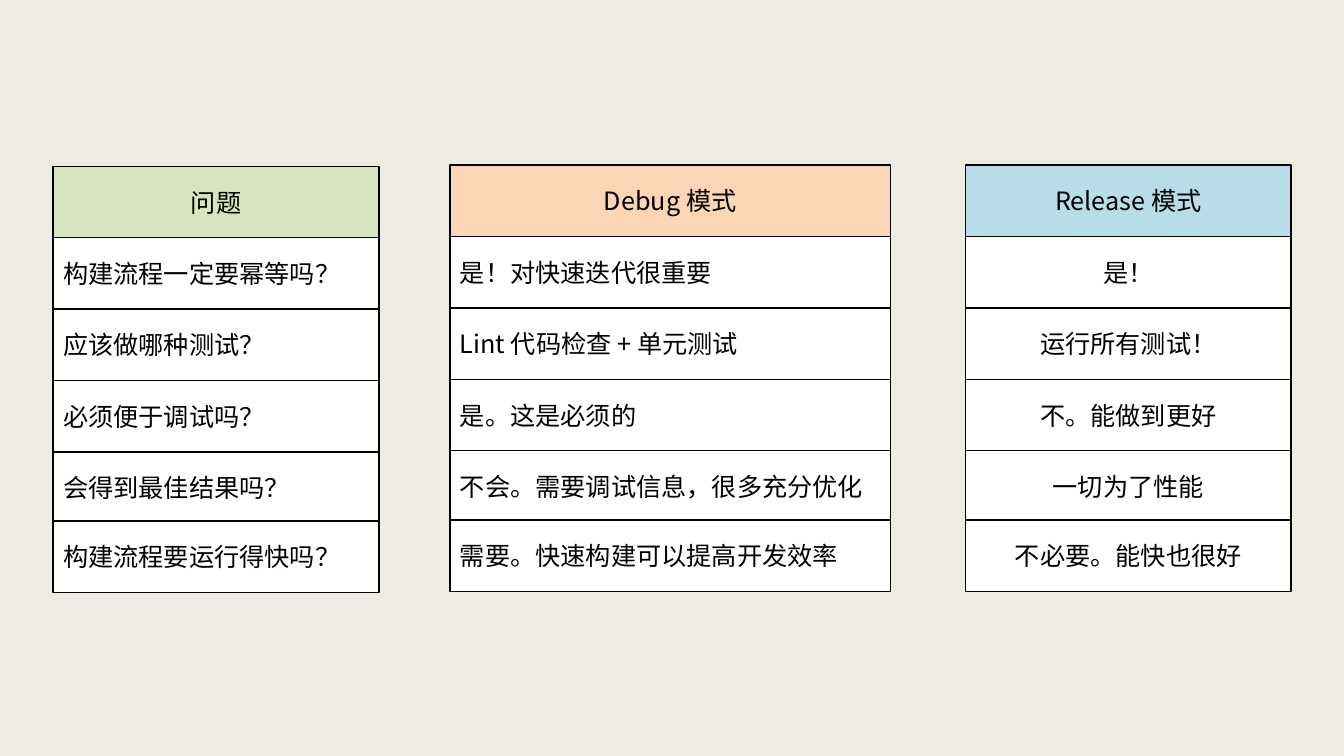
from dataclasses import dataclass

from lxml.etree import SubElement
from pptx import Presentation
from pptx.dml.color import RGBColor
from pptx.enum.shapes import MSO_SHAPE
from pptx.enum.text import MSO_ANCHOR, PP_ALIGN
from pptx.oxml.ns import qn
from pptx.shapes.group import GroupShape
from pptx.slide import Slide
from pptx.util import Cm, Pt

BEIGE = RGBColor(0xEE, 0xEC, 0xE1)
GREEN = RGBColor(0xD7, 0xE4, 0xBD)
ORANGE = RGBColor(0xFC, 0xD5, 0xB5)
BLUE = RGBColor(0xB7, 0xDE, 0xE8)
WHITE = RGBColor(0xFF, 0xFF, 0xFF)
BLACK = RGBColor(0, 0, 0)

FONT = "Noto Sans CJK SC"
FONT_FORMAT = {"name": FONT, "size": Pt(18)}
ROW_HEIGHT = 1.8
LAST_ROW_OVERLAP = 0.06


@dataclass(frozen=True)
class Column:
    heading: str
    answers: tuple[str, ...]
    left: float
    top: float
    width: float
    heading_color: RGBColor
    answer_align: PP_ALIGN


COLUMNS = (
    Column(
        "问题",
        (
            "构建流程一定要幂等吗？",
            "应该做哪种测试？",
            "必须便于调试吗？",
            "会得到最佳结果吗？",
            "构建流程要运行得快吗？",
        ),
        1.34, 4.19, 8.21, GREEN, PP_ALIGN.LEFT,
    ),
    Column(
        "Debug 模式",
        (
            "是！对快速迭代很重要",
            "Lint 代码检查 + 单元测试",
            "是。这是必须的",
            "不会。需要调试信息，很多充分优化",
            "需要。快速构建可以提高开发效率",
        ),
        11.34, 4.16, 11.1, ORANGE, PP_ALIGN.LEFT,
    ),
    Column(
        "Release 模式",
        (
            "是！",
            "运行所有测试！",
            "不。能做到更好",
            "一切为了性能",
            "不必要。能快也很好",
        ),
        24.33, 4.16, 8.21, BLUE, PP_ALIGN.CENTER,
    ),
)


def draw_cell(group: GroupShape, column: Column, top: float, wording: str,
              color: RGBColor, align: PP_ALIGN) -> None:
    cell = group.shapes.add_shape(
        MSO_SHAPE.RECTANGLE, Cm(column.left), Cm(top), Cm(column.width), Cm(ROW_HEIGHT)
    )
    cell.shadow.inherit = False
    cell.fill.solid()
    cell.fill.fore_color.rgb = color
    cell.line.color.rgb = BLACK
    cell.line.width = Pt(1)
    cell.text_frame.word_wrap = True
    cell.text_frame.vertical_anchor = MSO_ANCHOR.MIDDLE
    paragraph = cell.text_frame.paragraphs[0]
    paragraph.alignment = align
    run = paragraph.add_run()
    run.text = wording
    for attribute, setting in FONT_FORMAT.items():
        setattr(run.font, attribute, setting)
    run.font.color.rgb = BLACK
    SubElement(run._r.get_or_add_rPr(), qn("a:ea"), typeface=FONT)


def draw_column(slide: Slide, column: Column) -> None:
    group = slide.shapes.add_group_shape()
    draw_cell(group, column, column.top, column.heading,
              column.heading_color, PP_ALIGN.CENTER)
    for row, answer in enumerate(column.answers, start=1):
        top = column.top + row * ROW_HEIGHT
        if row == len(column.answers):
            top -= LAST_ROW_OVERLAP
        draw_cell(group, column, top, answer, WHITE, column.answer_align)


def main() -> None:
    presentation = Presentation()
    presentation.slide_width = Cm(33.87)
    presentation.slide_height = Cm(19.05)
    slide = presentation.slides.add_slide(presentation.slide_layouts[6])
    slide.background.fill.solid()
    slide.background.fill.fore_color.rgb = BEIGE
    for column in COLUMNS:
        draw_column(slide, column)
    presentation.save("out.pptx")


if __name__ == "__main__":
    main()
